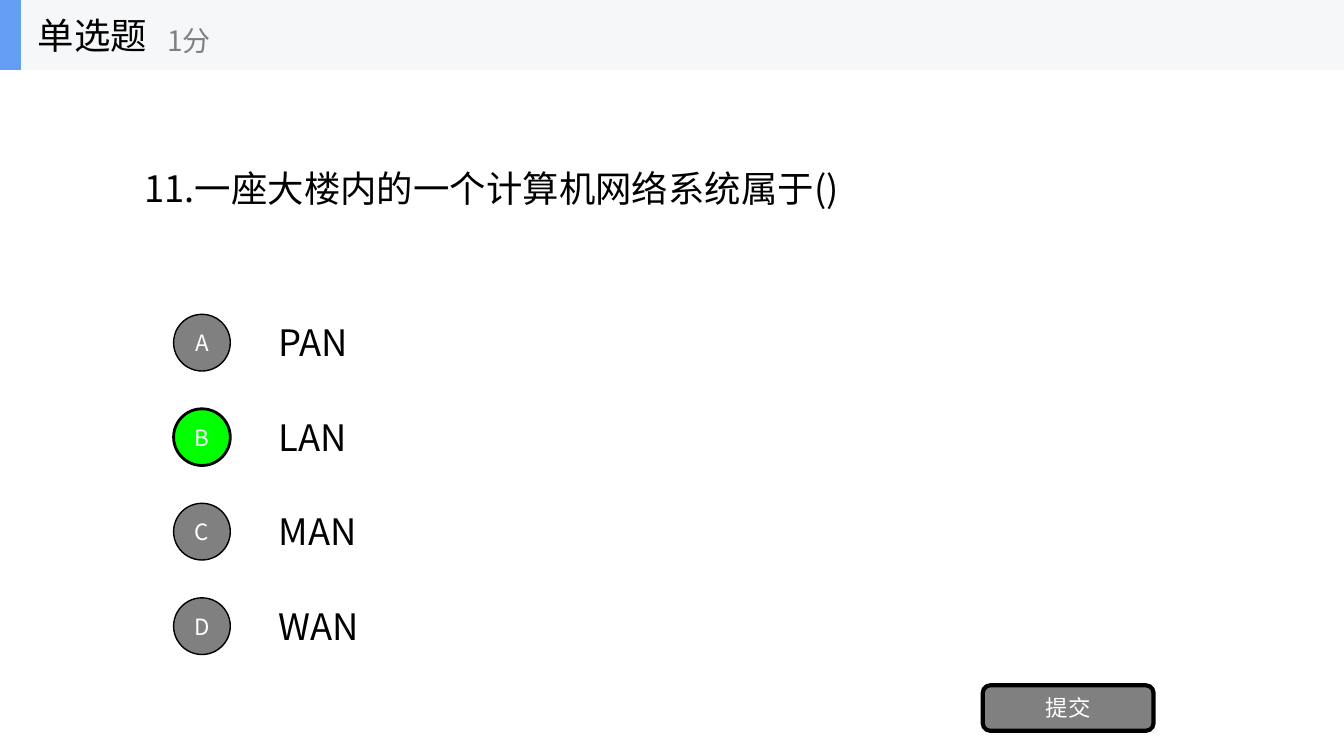
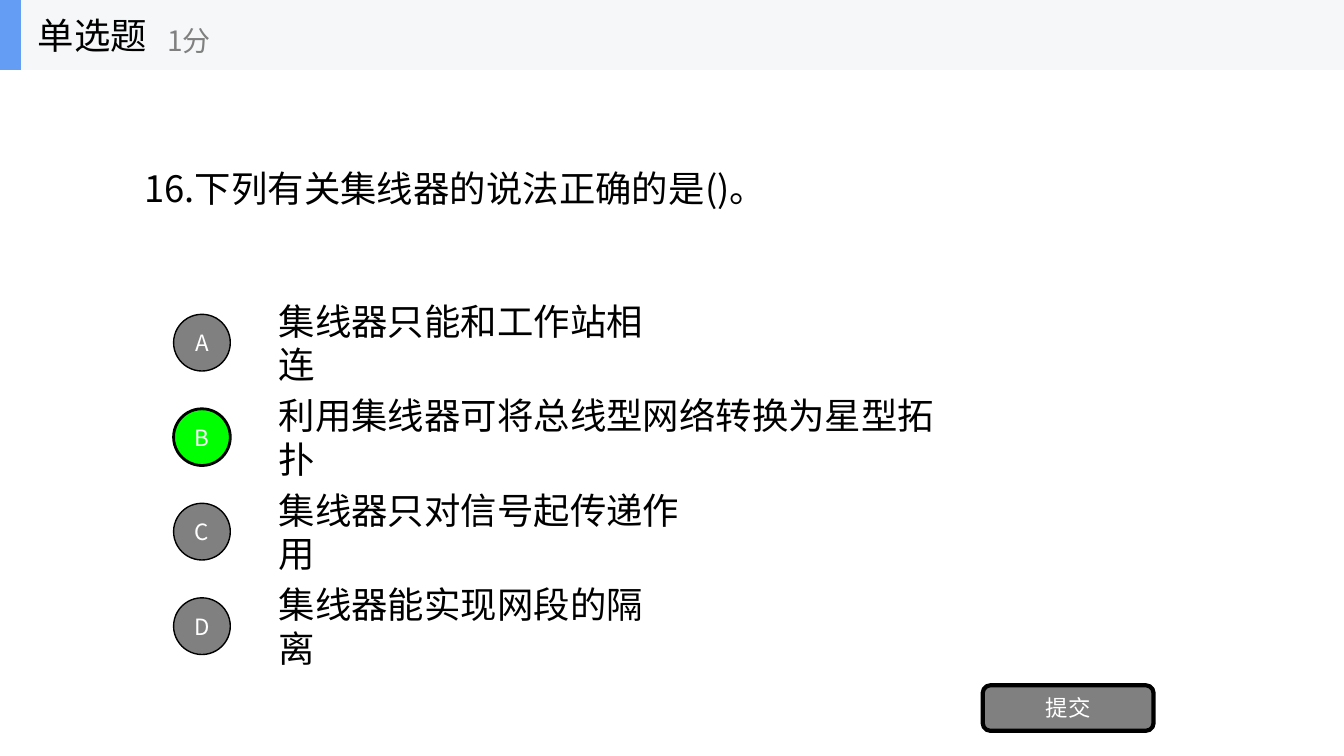
"""Build two single-choice quiz slides on computer networks."""
import dataclasses
import typing

import lxml.etree
import pptx
import pptx.dml.color
import pptx.enum.shapes
import pptx.enum.text
import pptx.oxml.ns
import pptx.util

Pt = pptx.util.Pt
PRESET = pptx.enum.shapes.MSO_SHAPE
ALIGN = pptx.enum.text.PP_ALIGN

FONT = "Noto Sans CJK SC"
COLORS = {
    "ink": "000000",
    "paper": "FFFFFF",
    "muted": "808080",
    "correct": "00FF00",
    "band": "F6F7F8",
    "accent": "639EF4",
}
SLIDE_WIDTH, SLIDE_HEIGHT = 960, 540
BAND_HEIGHT = 50
OPTION_TOP, OPTION_PITCH = 224.5, 67.5
BADGE_LEFT, BADGE_SIZE = 124, 40.5
ANSWER_LEFT, ANSWER_HEIGHT = 192, 38


@dataclasses.dataclass(frozen=True)
class Box:
    left: float
    top: float
    width: float
    height: float

    def lengths(self) -> list[pptx.util.Length]:
        return [Pt(side) for side in dataclasses.astuple(self)]


@dataclasses.dataclass(frozen=True)
class Answer:
    text: str
    width: float
    correct: bool = False


@dataclasses.dataclass(frozen=True)
class Question:
    text: str
    width: float
    answers: tuple[Answer, ...]


QUESTIONS = (
    Question("11.一座大楼内的一个计算机网络系统属于()", 517, (
        Answer("PAN", 68),
        Answer("LAN", 68, correct=True),
        Answer("MAN", 79),
        Answer("WAN", 79),
    )),
    Question("16.下列有关集线器的说法正确的是()。", 458.5, (
        Answer("集线器只能和工作站相连", 300),
        Answer("利用集线器可将总线型网络转换为星型拓扑", 508.5, correct=True),
        Answer("集线器只对信号起传递作用", 326),
        Answer("集线器能实现网段的隔离", 300),
    )),
)


def rgb(color: str) -> pptx.dml.color.RGBColor:
    return pptx.dml.color.RGBColor.from_string(COLORS[color])


def write(frame: typing.Any, text: str, size: float, color: str, align: ALIGN = ALIGN.LEFT) -> None:
    frame.vertical_anchor = pptx.enum.text.MSO_ANCHOR.MIDDLE
    paragraph = frame.paragraphs[0]
    paragraph.alignment = align
    run = paragraph.add_run()
    run.text = text
    run.font.size = Pt(size)
    run.font.name = FONT
    run.font.color.rgb = rgb(color)
    east_asian = lxml.etree.SubElement(run.font._element, pptx.oxml.ns.qn("a:ea"))
    east_asian.set("typeface", FONT)


def add_label(shapes: typing.Any, box: Box, text: str, size: float = 26,
              color: str = "ink", wrap: bool = True) -> None:
    frame = shapes.add_textbox(*box.lengths()).text_frame
    frame.word_wrap = wrap
    if wrap:
        frame.auto_size = pptx.enum.text.MSO_AUTO_SIZE.SHAPE_TO_FIT_TEXT
    write(frame, text, size, color)


def add_block(shapes: typing.Any, preset: PRESET, box: Box, fill: str,
              border: float = 0, caption: str = "") -> None:
    block = shapes.add_shape(preset, *box.lengths())
    block.shadow.inherit = False
    block.fill.solid()
    block.fill.fore_color.rgb = rgb(fill)
    if border:
        block.line.color.rgb = rgb("ink")
        block.line.width = Pt(border)
    else:
        block.line.fill.background()
    if caption:
        write(block.text_frame, caption, 16, "paper", ALIGN.CENTER)


def add_header(slide: typing.Any) -> None:
    header = slide.shapes.add_group_shape().shapes
    add_block(header, PRESET.RECTANGLE, Box(0, 0, SLIDE_WIDTH, BAND_HEIGHT), "band")
    add_block(header, PRESET.RECTANGLE, Box(0, 0, 15, BAND_HEIGHT), "accent")
    add_label(header, Box(20, 0, 150, BAND_HEIGHT), "单选题", wrap=False)
    add_label(header, Box(112.5, 9, 180, 40), "1分", 20, "muted", wrap=False)


def add_answer(slide: typing.Any, index: int, answer: Answer) -> None:
    top = OPTION_TOP + index * OPTION_PITCH
    add_label(slide.shapes, Box(ANSWER_LEFT, top + 1, answer.width, ANSWER_HEIGHT), answer.text)
    add_block(slide.shapes, PRESET.OVAL, Box(BADGE_LEFT, top, BADGE_SIZE, BADGE_SIZE),
              "correct" if answer.correct else "muted",
              2 if answer.correct else 1, "ABCD"[index])


def add_question(deck: typing.Any, question: Question) -> None:
    slide = deck.slides.add_slide(deck.slide_layouts[6])
    add_label(slide.shapes, Box(96, 115, question.width, 38.5), question.text)
    for index, answer in enumerate(question.answers):
        add_answer(slide, index, answer)
    add_block(slide.shapes, PRESET.ROUNDED_RECTANGLE, Box(702, 489.5, 122, 32.5),
              "muted", 3, "提交")
    add_header(slide)


def main() -> None:
    deck = pptx.Presentation()
    deck.slide_width, deck.slide_height = Pt(SLIDE_WIDTH), Pt(SLIDE_HEIGHT)
    for question in QUESTIONS:
        add_question(deck, question)
    deck.save("out.pptx")


if __name__ == "__main__":
    main()
